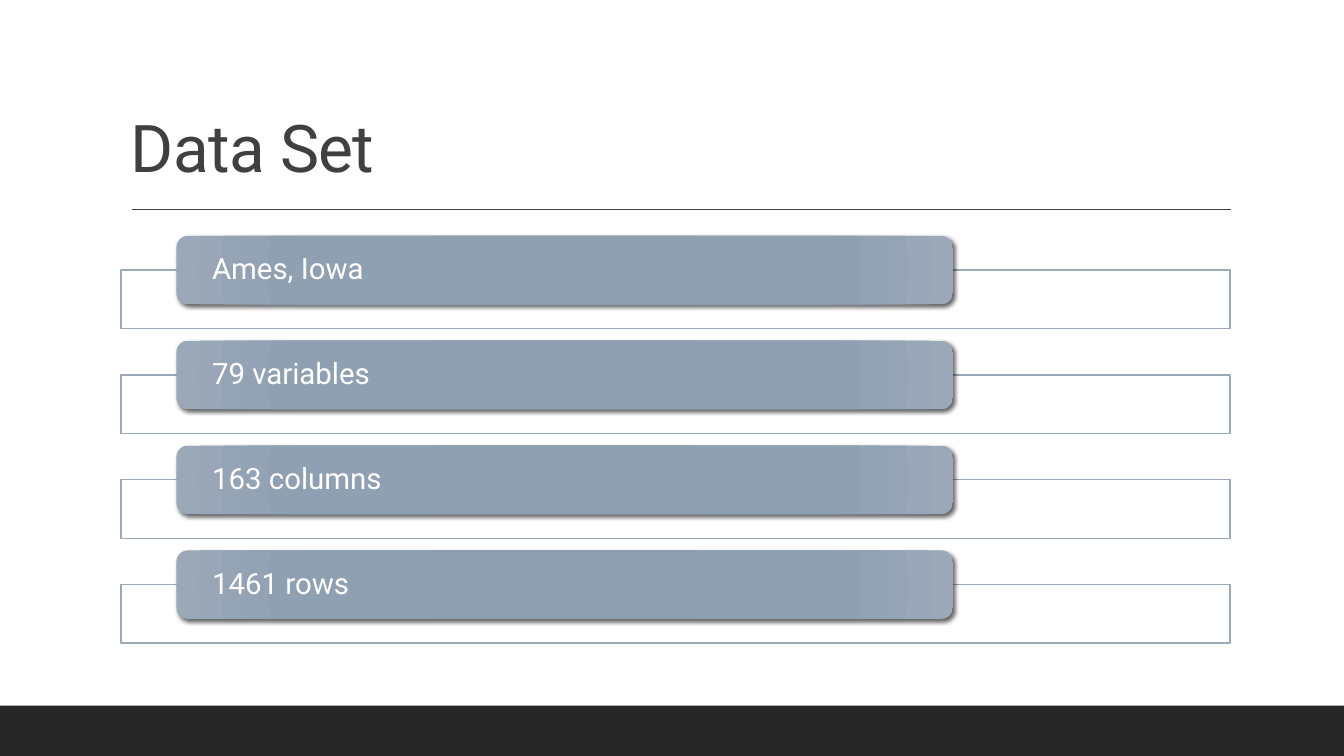
from pptx import Presentation
from pptx.dml.color import RGBColor
from pptx.enum import shapes, text
from pptx.oxml import parse_xml
from pptx.oxml.ns import nsdecls, qn
from pptx.util import Inches, Pt

WHITE = RGBColor(0xFF, 0xFF, 0xFF)
INK = RGBColor(0x40, 0x40, 0x40)
FOOTER = RGBColor(0x26, 0x26, 0x26)
OUTLINE = RGBColor(0x9B, 0xA8, 0xB7)
PILL_STOPS = [
    (0, RGBColor(0x8D, 0x9C, 0xAE)),
    (34, RGBColor(0x8F, 0x9E, 0xB0)),
    (70, RGBColor(0x90, 0xA0, 0xB3)),
    (100, RGBColor(0x9A, 0xA8, 0xB8)),
]
FACTS = ["Ames, Iowa", "79 variables", "163 columns", "1461 rows"]


def put_text(sp, words, size, color, anchor, margins, spacing=0):
    """Write one formatted line; margins are left, top, right, bottom in inches."""
    tf = sp.text_frame
    tf.word_wrap = True
    tf.vertical_anchor = anchor
    tf.margin_left, tf.margin_top, tf.margin_right, tf.margin_bottom = map(Inches, margins)
    p = tf.paragraphs[0]
    p.alignment = text.PP_ALIGN.LEFT
    p.line_spacing = 0.9
    r = p.add_run()
    r.text = words
    r.font.name = "Roboto"
    r.font.size = Pt(size)
    r.font.color.rgb = color
    if spacing:
        r.font._element.set("spc", str(int(spacing * 100)))


def add_box(slide, kind, left, top, width, height, fill=None, line=None):
    sp = slide.shapes.add_shape(kind, Inches(left), Inches(top), Inches(width), Inches(height))
    sp.shadow.inherit = False
    if fill is not None:
        sp.fill.solid()
        sp.fill.fore_color.rgb = fill
    if line is None:
        sp.line.fill.background()
    else:
        sp.line.color.rgb = line
        sp.line.width = Pt(1)
    return sp


def style_pill(sp):
    """Give the pill a radial gradient and a soft drop shadow."""
    stops = "".join(
        f'<a:gs pos="{pos * 1000}"><a:srgbClr val="{color}"/></a:gs>' for pos, color in PILL_STOPS
    )
    gradient = parse_xml(
        f'<a:gradFill {nsdecls("a")} rotWithShape="1"><a:gsLst>{stops}</a:gsLst>'
        '<a:path path="circle"><a:fillToRect l="100000" t="100000" r="100000" b="100000"/>'
        "</a:path></a:gradFill>"
    )
    shadow = parse_xml(
        f'<a:outerShdw {nsdecls("a")} blurRad="{Pt(3)}" dist="{Pt(2)}" dir="2700000" '
        'algn="br" rotWithShape="0"><a:srgbClr val="000000"><a:alpha val="60000"/>'
        "</a:srgbClr></a:outerShdw>"
    )
    spPr = sp._element.spPr
    spPr.find(qn("a:prstGeom")).addnext(gradient)
    spPr.find(qn("a:effectLst")).append(shadow)


def add_header(slide, left, top, width, height):
    # Title
    tb = slide.shapes.add_textbox(Inches(left), Inches(top), Inches(width), Inches(height))
    put_text(tb, "Data Set", 47, INK, text.MSO_ANCHOR.BOTTOM, (0.1, 0.05, 0.1, 0.05), spacing=-0.5)

    # Rule under the title
    y = Inches(top + height + 0.18)
    rule = slide.shapes.add_connector(
        shapes.MSO_CONNECTOR.STRAIGHT, Inches(left + 0.11), y, Inches(left + width + 0.01), y
    )
    rule.line.color.rgb = INK
    rule.line.width = Pt(1)
    rule._element.spPr.append(parse_xml(f'<a:effectLst {nsdecls("a")}/>'))


def add_fact(slide, left, top, width, words):
    # Outlined panel behind the pill
    panel = add_box(slide, shapes.MSO_SHAPE.RECTANGLE, left, top + 0.34, width, 0.58, WHITE, OUTLINE)
    color = panel._element.spPr.find(qn("a:solidFill"))[0]
    color.append(parse_xml(f'<a:alpha {nsdecls("a")} val="90000"/>'))

    # Pill with its label
    pill = add_box(
        slide, shapes.MSO_SHAPE.ROUNDED_RECTANGLE, left + 0.05 * width, top, 0.7 * width, 0.68
    )
    style_pill(pill)
    put_text(pill, words, 21, WHITE, text.MSO_ANCHOR.MIDDLE, (0.32, 0, 0.32, 0))


def add_fact_list(slide, left, top, width, pitch):
    for i, words in enumerate(FACTS):
        add_fact(slide, left, top + i * pitch, width, words)


def main():
    prs = Presentation()
    prs.slide_width = Inches(13.33)
    prs.slide_height = Inches(7.5)
    slide = prs.slides.add_slide(prs.slide_layouts[6])

    # Footer band
    add_box(slide, shapes.MSO_SHAPE.RECTANGLE, 0, 7, 13.33, 0.5, FOOTER)
    add_header(slide, 1.2, 0.31, 11, 1.59)
    add_fact_list(slide, 1.2, 2.34, 11, 1.04)

    prs.save("out.pptx")


if __name__ == "__main__":
    main()
